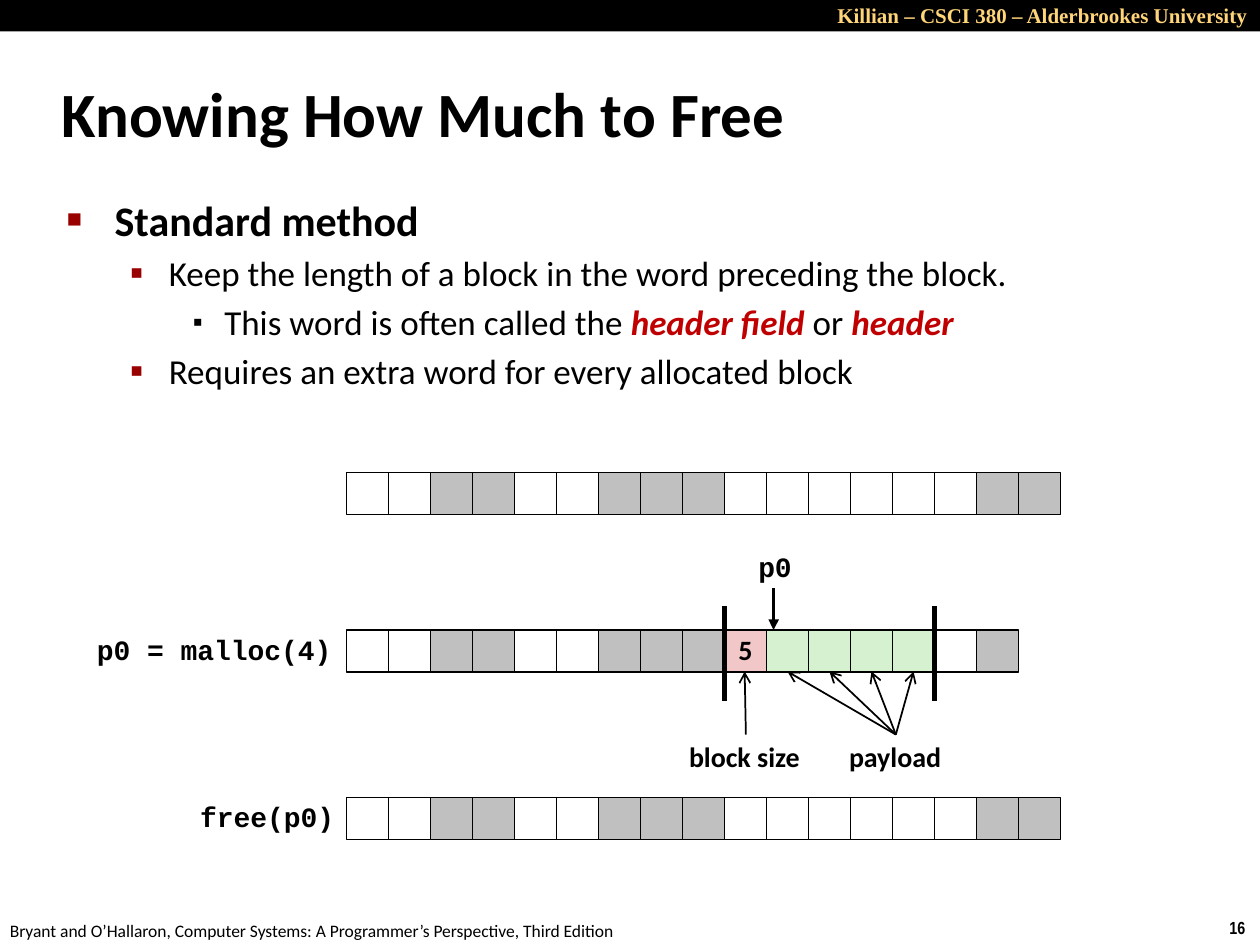
from lxml import etree
from pptx import Presentation
from pptx.dml.color import RGBColor
from pptx.enum.shapes import MSO_CONNECTOR, MSO_SHAPE
from pptx.enum.text import MSO_ANCHOR, MSO_AUTO_SIZE, PP_ALIGN
from pptx.oxml.ns import qn
from pptx.util import Inches, Pt

RECT = MSO_SHAPE.RECTANGLE
STRAIGHT = MSO_CONNECTOR.STRAIGHT
MIDDLE, TOP = MSO_ANCHOR.MIDDLE, MSO_ANCHOR.TOP
LEFT, CENTER, RIGHT = PP_ALIGN.LEFT, PP_ALIGN.CENTER, PP_ALIGN.RIGHT
FIT, NO_FIT = MSO_AUTO_SIZE.SHAPE_TO_FIT_TEXT, MSO_AUTO_SIZE.NONE

SANS, MONO = "Calibri", "Courier New"
BLACK, WHITE, GRAY = "000000", "FFFFFF", "C0C0C0"
GREEN, PINK, RED, MAROON = "D5F1CF", "F1C7C7", "C00000", "990000"
FILLS = {"f": WHITE, "a": GRAY, "p": GREEN, "h": PINK}
CELL = 1 / 3
ROW_LEFT = 2.75


def rgb(value):
    return RGBColor.from_string(value)


class Deck:
    def __init__(self, prs):
        self.slide = prs.slides.add_slide(prs.slide_layouts[1])
        self.shapes = self.slide.shapes

    def place(self, sp, left, top, width, height):
        sp.left, sp.top = Inches(left), Inches(top)
        sp.width, sp.height = Inches(width), Inches(height)

    def run(self, p, text, size, font=SANS, color=BLACK, bold=False, italic=False):
        r = p.add_run()
        r.text = text
        r.font.size, r.font.name = Pt(size), font
        r.font.bold, r.font.italic = bold, italic
        r.font.color.rgb = rgb(color)

    def indent(self, p, margin, hanging):
        pPr = p._p.get_or_add_pPr()
        pPr.set("marL", str(Inches(margin)))
        pPr.set("indent", str(-Inches(hanging)))
        return pPr

    def title(self, text, box):
        sp = self.shapes.title
        self.place(sp, *box)
        tf = sp.text_frame
        tf.auto_size, tf.vertical_anchor = NO_FIT, MIDDLE
        p = tf.paragraphs[0]
        p.alignment = LEFT
        self.indent(p, 0.13, 0.13)
        self.run(p, text, 36, bold=True)

    def body(self, items, box):
        sp = self.slide.placeholders[1]
        self.place(sp, *box)
        tf = sp.text_frame
        tf.auto_size, tf.vertical_anchor = NO_FIT, TOP
        styles = [
            (24, 0.38, 0.38, "■", 60, MAROON),
            (20, 0.81, 0.31, "▪", 110, MAROON),
            (20, 1.25, 0.25, "▪", 80, BLACK),
        ]
        for i, (level, runs) in enumerate(items):
            p = tf.add_paragraph() if i else tf.paragraphs[0]
            p.level = level
            size, margin, hanging, char, percent, color = styles[level]
            pPr = self.indent(p, margin, hanging)
            clr = etree.SubElement(pPr, qn("a:buClr"))
            etree.SubElement(clr, qn("a:srgbClr"), val=color)
            etree.SubElement(pPr, qn("a:buSzPct"), val=str(percent * 1000))
            etree.SubElement(pPr, qn("a:buChar"), char=char)
            for text, strong in runs:
                self.run(p, text, size, color=RED if strong else BLACK,
                         bold=strong or level == 0, italic=strong)

    def text(self, text, box, size=16, font=MONO, color=BLACK, bold=True,
             align=LEFT, wrap=False, spacing=None):
        sp = self.shapes.add_textbox(*map(Inches, box))
        tf = sp.text_frame
        tf.word_wrap, tf.auto_size = wrap, FIT
        p = tf.paragraphs[0]
        p.alignment, p.line_spacing = align, spacing
        self.run(p, text, size, font, color, bold)

    def rect(self, box, fill, line=None, label=None):
        sp = self.shapes.add_shape(RECT, *map(Inches, box))
        sp.shadow.inherit = False
        sp.fill.solid()
        sp.fill.fore_color.rgb = rgb(fill)
        if line:
            sp.line.color.rgb = rgb(line)
            sp.line.width = Pt(1)
        else:
            sp.line.fill.background()
        if label:
            tf = sp.text_frame
            tf.word_wrap, tf.vertical_anchor = False, MIDDLE
            p = tf.paragraphs[0]
            p.alignment, p.line_spacing = CENTER, 0.98
            self.run(p, label, 16, bold=True)

    def memory_row(self, top, cells, labels):
        for i, kind in enumerate(cells):
            box = (ROW_LEFT + i * CELL, top, CELL, CELL)
            self.rect(box, FILLS[kind], BLACK, labels.get(kind))

    def line(self, start, end, width=1, head=None):
        cxn = self.shapes.add_connector(STRAIGHT, *map(Inches, start + end))
        cxn.line.color.rgb = rgb(BLACK)
        cxn.line.width = Pt(width)
        if head:
            etree.SubElement(cxn.line._get_or_add_ln(), qn("a:tailEnd"), type=head)
        etree.SubElement(cxn._element.spPr, qn("a:effectLst"))


prs = Presentation()
prs.slide_width, prs.slide_height = Inches(10), Inches(7.5)
deck = Deck(prs)

deck.rect((0, 0, 10, 0.25), BLACK)
deck.text("Killian – CSCI 380 – Alderbrookes University", (6.08, -0.03, 3.92, 0.3),
          12, "Times New Roman", "FFD579", align=RIGHT, wrap=True)
deck.text("16", (9.66, 7.23, 0.34, 0.27), 10, "Arial Narrow")
deck.text("Bryant and O’Hallaron, Computer Systems: A Programmer’s Perspective, Third Edition",
          (-0.02, 7.25, 5.08, 0.27), 10, SANS, bold=False)

deck.title("Knowing How Much to Free", (0.39, 0.48, 8.3, 0.83))
deck.body([
    (0, [("Standard method", False)]),
    (1, [("Keep the length of a block in the word preceding the block.", False)]),
    (2, [("This word is often called the ", False), ("header field ", True),
         ("or ", False), ("header", True)]),
    (1, [("Requires an extra word for every allocated block", False)]),
], (0.43, 1.49, 8.64, 5.44))

for top, cells in [(3.75, "ffaaffaaaffffffaa"),
                   (5, "ffaaffaaahppppfa"),
                   (6.33, "ffaaffaaaffffffaa")]:
    deck.memory_row(top, cells, {"h": "5"})

for text, box in [("p0 = malloc(4)", (0.67, 4.99, 2.09, 0.36)),
                  ("p0", (5.92, 4.33, 0.47, 0.35)),
                  ("free(p0)", (1.49, 6.32, 1.28, 0.36))]:
    deck.text(text, box, spacing=0.94)
for text, left, width in [("block size", 5.37, 1.09), ("payload", 6.64, 0.94)]:
    deck.text(text, (left, 5.83, width, 0.37), font=SANS, spacing=0.98)

for column in (9, 14):
    x = ROW_LEFT + column * CELL
    deck.line((x, 4.81), (x, 5.56), 3)
deck.line((6.14, 4.67), (6.14, 5), 2, "triangle")
deck.line((5.92, 5.83), (5.91, 5.33), head="arrow")
for i in range(4):
    deck.line((7.11, 5.83), (6.25 + i * CELL, 5.33), head="arrow")

prs.save("out.pptx")
